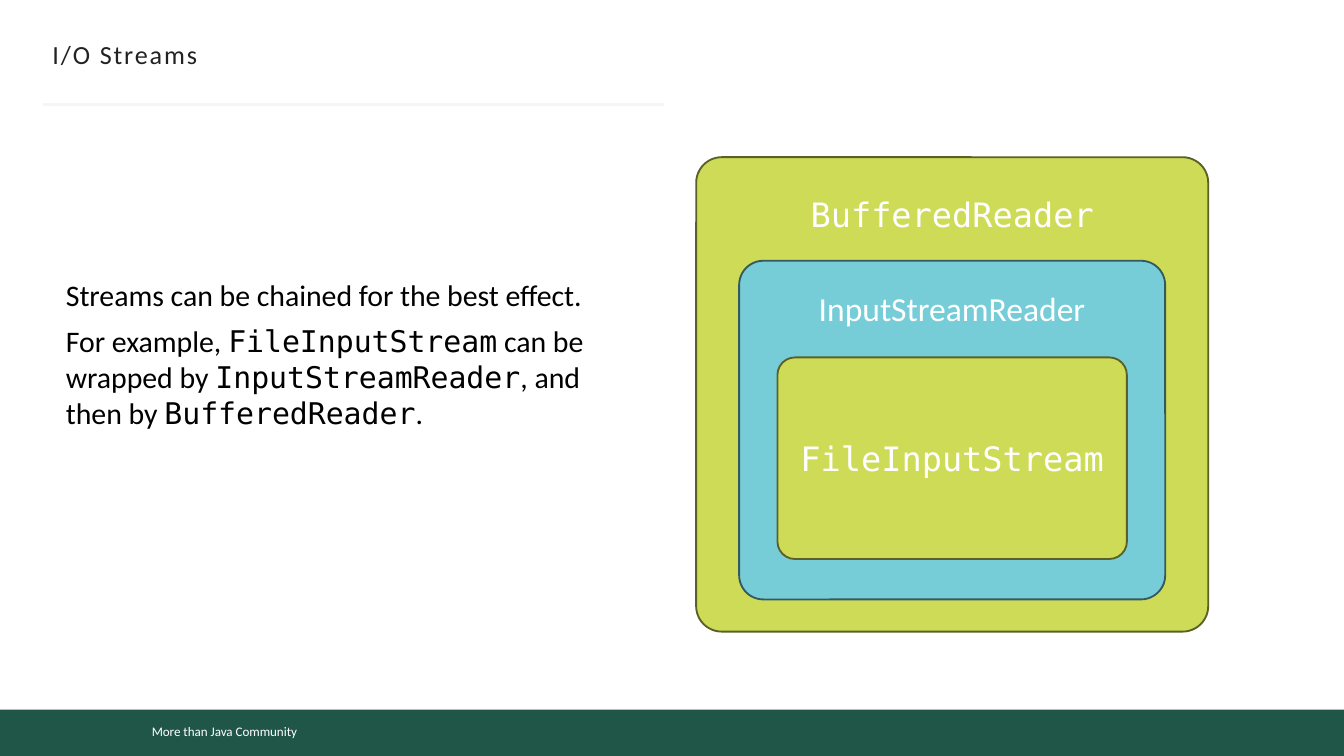
from lxml import etree
from pptx import Presentation
from pptx import util as u
from pptx.dml.color import RGBColor
from pptx.enum import shapes, text
from pptx.oxml.ns import qn

# Content
TITLE = "I/O Streams"
FOOTER = "More than Java Community"
SANS, MONO = "Calibri", "DejaVu Sans Mono"
BODY = [
    [("Streams can be chained for the best effect.", SANS)],
    [("For example, ", SANS), ("FileInputStream", MONO),
     (" can be wrapped by ", SANS), ("InputStreamReader", MONO),
     (", and then by ", SANS), ("BufferedReader", MONO), (".", SANS)],
]
COLORS = {"white": "FFFFFF", "black": "000000", "title": "222222",
          "band": "205648", "rule": "F5F5F5",
          "lime": "CEDB56", "lime_edge": "5A6026",
          "aqua": "76CDD8", "aqua_edge": "345A5F"}
# Wrappers, outermost first: label, font, colour, top, width, height,
# corner radius, label inset from the top (None centres the label)
WRAPPERS = [
    ("BufferedReader", MONO, "lime", 1.17, 3.81, 3.53, 0.19, 0.22),
    ("InputStreamReader", SANS, "aqua", 1.94, 3.17, 2.52, 0.18, 0.15),
    ("FileInputStream", MONO, "lime", 2.66, 2.6, 1.5, 0.13, None),
]
WRAPPER_CENTRE = 5.18 + 3.81 / 2
WIDTH = 10
HEIGHT = WIDTH * 9 / 16
BAND_TOP = 5.28


def color(name):
    return RGBColor.from_string(COLORS[name])


def place(shape, *box):
    shape.left, shape.top, shape.width, shape.height = map(u.Inches, box)


def set_frame(frame, insets, anchor):
    frame.word_wrap = True
    frame.auto_size = text.MSO_AUTO_SIZE.NONE
    frame.vertical_anchor = anchor
    (frame.margin_left, frame.margin_top,
     frame.margin_right, frame.margin_bottom) = map(u.Inches, insets)


def add_run(paragraph, words, font, size, tint):
    run = paragraph.add_run()
    run.text = words
    run.font.name, run.font.size = font, u.Pt(size)
    run.font.color.rgb = color(tint)
    return run


def add_box(slide, kind, box, fill, edge=None):
    shape = slide.shapes.add_shape(kind, *map(u.Inches, box))
    shape.shadow.inherit = False
    shape.fill.solid()
    shape.fill.fore_color.rgb = color(fill)
    if edge:
        shape.line.color.rgb = color(edge)
        shape.line.width = u.Pt(1)
    else:
        shape.line.fill.background()
    return shape


def add_frame_parts(slide):
    # Footer band and its caption
    band = add_box(slide, shapes.MSO_SHAPE.RECTANGLE,
                   (0, BAND_TOP, WIDTH, HEIGHT - BAND_TOP), "band")
    set_frame(band.text_frame, (1.13, 0, 0.1, 0.02), text.MSO_ANCHOR.MIDDLE)
    caption = band.text_frame.paragraphs[0]
    caption.alignment = text.PP_ALIGN.LEFT
    add_run(caption, FOOTER, SANS, 7, "white")

    # Rule under the title
    rule = slide.shapes.add_connector(
        shapes.MSO_CONNECTOR.STRAIGHT,
        *map(u.Inches, (0.32, 0.78, 4.94, 0.78)))
    rule.line.color.rgb = color("rule")
    rule.line.width = u.Pt(1.5)
    etree.SubElement(rule._element.spPr, qn("a:effectLst"))


def fill_title(title):
    place(title, 0.39, 0.25, 9.22, 0.33)
    set_frame(title.text_frame, (0, 0.05, 0, 0.05), text.MSO_ANCHOR.MIDDLE)
    heading = title.text_frame.paragraphs[0]
    heading.alignment = text.PP_ALIGN.LEFT
    heading.line_spacing = 0.9
    run = add_run(heading, TITLE, SANS, 14, "title")
    run._r.get_or_add_rPr().set("spc", "100")


def fill_body(body):
    place(body, 0.49, 2.06, 4.1, 2.22)
    frame = body.text_frame
    set_frame(frame, (0, 0, 0, 0), text.MSO_ANCHOR.TOP)
    for index, runs in enumerate(BODY):
        paragraph = frame.add_paragraph() if index else frame.paragraphs[0]
        properties = paragraph._p.get_or_add_pPr()
        properties.set("marL", "0")
        properties.set("indent", "0")
        etree.SubElement(properties, qn("a:buNone"))
        paragraph.space_before = u.Pt(2.6 if index else 0)
        paragraph.space_after = u.Pt(3)
        for words, font in runs:
            add_run(paragraph, words, font, 16, "black")


def add_wrappers(slide):
    for label, font, tint, top, width, height, radius, inset in WRAPPERS:
        box = (WRAPPER_CENTRE - width / 2, top, width, height)
        wrapper = add_box(slide, shapes.MSO_SHAPE.ROUNDED_RECTANGLE, box,
                          tint, tint + "_edge")
        wrapper.adjustments[0] = radius / min(width, height)
        centred = inset is None
        anchor = text.MSO_ANCHOR.MIDDLE if centred else text.MSO_ANCHOR.TOP
        set_frame(wrapper.text_frame,
                  (0.1, 0.05 if centred else inset, 0.1, 0.05), anchor)
        name = wrapper.text_frame.paragraphs[0]
        name.alignment = text.PP_ALIGN.CENTER
        add_run(name, label, font, 18, "white")


def main():
    deck = Presentation()
    deck.slide_width, deck.slide_height = u.Inches(WIDTH), u.Inches(HEIGHT)
    slide = deck.slides.add_slide(deck.slide_layouts[1])
    add_frame_parts(slide)
    fill_title(slide.shapes.title)
    fill_body(slide.placeholders[1])
    add_wrappers(slide)
    deck.save("out.pptx")


if __name__ == "__main__":
    main()
